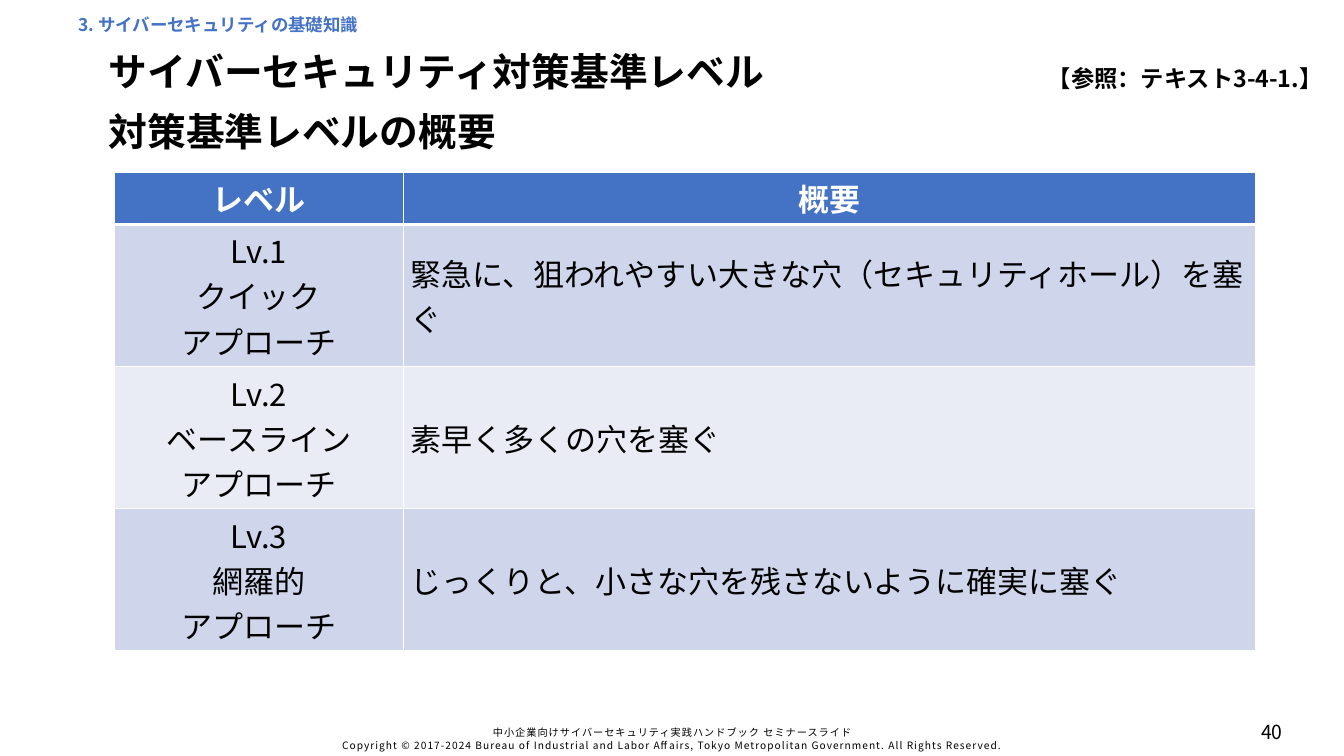
from lxml.etree import SubElement
from pptx import Presentation
from pptx.dml.color import RGBColor
from pptx.enum.text import MSO_ANCHOR as Anchor, MSO_AUTO_SIZE as AutoSize, PP_ALIGN as Align
from pptx.oxml.ns import qn
from pptx.util import Pt

FONT = "Noto Sans CJK JP"
BLACK, WHITE, BLUE = "000000", "FFFFFF", "4472C4"
BANDS = ["CFD5EA", "E9EBF5"]
LEVELS = [
    (["Lv.1", "クイック", "アプローチ"], "緊急に、狙われやすい大きな穴（セキュリティホール）を塞ぐ"),
    (["Lv.2", "ベースライン", "アプローチ"], "素早く多くの穴を塞ぐ"),
    (["Lv.3", "網羅的", "アプローチ"], "じっくりと、小さな穴を残さないように確実に塞ぐ"),
]


def color(code):
    return RGBColor.from_string(code)


def apply(target, values):
    for name, value in values.items():
        setattr(target, name, value)


class SlideBuilder:
    """Holds the text style and the current page, and adds elements to it."""

    def __init__(self, page, font):
        self.page = page
        self.font = font

    def fill_text(self, frame, lines, size, code=BLACK, bold=False, spacing=0, **layout):
        for index, line in enumerate(lines):
            para = frame.paragraphs[0] if index == 0 else frame.add_paragraph()
            apply(para, {"alignment": Align.LEFT, **layout})
            span = para.add_run()
            span.text = line
            apply(span.font, {"name": self.font, "size": Pt(size), "bold": bold})
            span.font.color.rgb = color(code)
            properties = span._r.get_or_add_rPr()
            SubElement(properties, qn("a:ea"), typeface=self.font)
            if spacing:
                properties.set("spc", str(spacing))

    def place(self, box, area, lines, size, anchor=Anchor.MIDDLE, margins=None, **style):
        apply(box, dict(zip(("left", "top", "width", "height"), map(Pt, area))))
        frame = box.text_frame
        apply(frame, {"word_wrap": True, "auto_size": AutoSize.NONE,
                      "vertical_anchor": anchor, **(margins or {})})
        self.fill_text(frame, lines, size, **style)

    def title(self, area, line, size, **style):
        self.place(self.page.shapes.title, area, [line], size, **style)

    def text(self, area, lines, size, **style):
        box = self.page.shapes.add_textbox(*map(Pt, area))
        self.place(box, area, lines, size, **style)

    def cell(self, cell, lines, fill, size, bottom=1, **style):
        properties = cell._tc.get_or_add_tcPr()
        for side, width in {"lnL": 1, "lnR": 1, "lnT": 1, "lnB": bottom}.items():
            border = SubElement(properties, qn(f"a:{side}"), w=str(Pt(width)))
            SubElement(SubElement(border, qn("a:solidFill")), qn("a:srgbClr"), val=WHITE)
        cell.fill.solid()
        cell.fill.fore_color.rgb = color(fill)
        cell.vertical_anchor = Anchor.MIDDLE
        self.fill_text(cell.text_frame, lines, size, **style)

    def level_table(self, left, top, widths, header_height, row_height, size):
        height = header_height + row_height * len(LEVELS)
        table = self.page.shapes.add_table(
            len(LEVELS) + 1, len(widths), Pt(left), Pt(top), Pt(sum(widths)), Pt(height)).table
        for column, width in zip(table.columns, widths):
            column.width = Pt(width)
        for index, row in enumerate(table.rows):
            row.height = Pt(row_height if index else header_height)
        for column, heading in enumerate(["レベル", "概要"]):
            self.cell(table.cell(0, column), [heading], BLUE, size, bottom=3,
                      code=WHITE, bold=True, alignment=Align.CENTER)
        for index, (level, summary) in enumerate(LEVELS):
            fill = BANDS[index % 2]
            self.cell(table.cell(index + 1, 0), level, fill, size, alignment=Align.CENTER)
            self.cell(table.cell(index + 1, 1), [summary], fill, size)


def main():
    deck = Presentation()
    apply(deck, {"slide_width": Pt(1386.72), "slide_height": Pt(779.76)})
    builder = SlideBuilder(deck.slides.add_slide(deck.slide_layouts[5]), FONT)
    heading = {"bold": True, "line_spacing": 0.9}
    flush = {"margin_left": 0, "margin_top": Pt(1), "margin_right": 0, "margin_bottom": 0}

    builder.title((105, 54.7, 1176.5, 44), "サイバーセキュリティ対策基準レベル", 40, **heading)
    builder.text((105, 116, 1176.5, 44), ["対策基準レベルの概要"], 40, **heading)
    builder.text((80.6, 20.2, 1258.6, 18), ["3. サイバーセキュリティの基礎知識"], 18,
                 anchor=Anchor.TOP, margins=flush, code=BLUE, bold=True, line_spacing=Pt(15))
    builder.text((1074.2, 62.6, 312.5, 36), ["【参照：テキスト3-4-1.】"], 24,
                 anchor=Anchor.TOP, bold=True)
    builder.level_table(118.1, 177.8, [298, 879], 52.4, 146.4, 32)
    builder.text((269.3, 743.8, 848.9, 36), [
        "中小企業向けサイバーセキュリティ実践ハンドブック セミナースライド",
        "Copyright © 2017-2024 Bureau of Industrial and Labor Affairs, "
        "Tokyo Metropolitan Government. All Rights Reserved.",
    ], 10.5, spacing=110, alignment=Align.CENTER, line_spacing=1.1)
    builder.text((1251.4, 740.9, 121.7, 27.4), ["40"], 20, alignment=Align.CENTER)
    deck.save("out.pptx")


if __name__ == "__main__":
    main()
